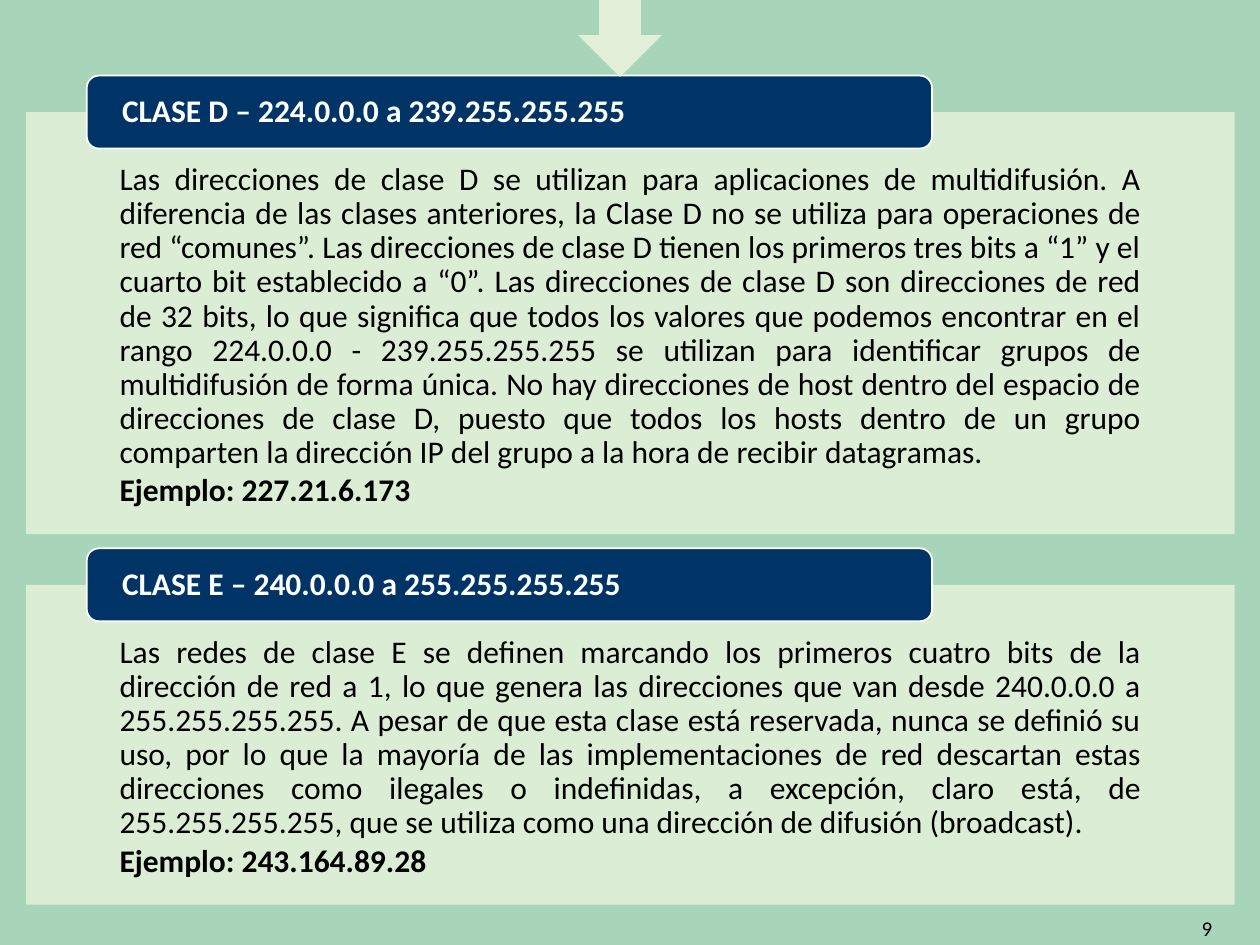
import dataclasses

import pptx
import pptx.dml.color
import pptx.enum.shapes
import pptx.enum.text
import pptx.oxml
import pptx.oxml.ns
import pptx.util

Cm = pptx.util.Cm
Pt = pptx.util.Pt
SHAPE = pptx.enum.shapes.MSO_SHAPE
ALIGN = pptx.enum.text.PP_ALIGN
ANCHOR = pptx.enum.text.MSO_ANCHOR


@dataclasses.dataclass(frozen=True)
class Theme:
    background: str = "A8D5BA"
    panel: str = "E2F0D9"
    panel_opacity: int = 90
    header: str = "003366"
    light: str = "FFFFFF"
    dark: str = "000000"
    font: str = "Calibri"
    text_size: int = 18
    number_size: int = 12
    line_spacing: float = 0.9


THEME = Theme()

PANEL_LEFT, PANEL_WIDTH = 0.53, 24.36
HEADER_LEFT, HEADER_WIDTH, HEADER_HEIGHT = 1.75, 17.04, 1.47
HEADER_RISE = HEADER_HEIGHT / 2

# Panel top and height in cm, heading, description, example
ADDRESS_CLASSES = [
    (
        2.26, 8.51,
        "CLASE D – 224.0.0.0 a 239.255.255.255",
        "Las direcciones de clase D se utilizan para aplicaciones de multidifusión. "
        "A diferencia de las clases anteriores, la Clase D no se utiliza para "
        "operaciones de red “comunes”. Las direcciones de clase D tienen los primeros "
        "tres bits a “1” y el cuarto bit establecido a “0”. Las direcciones de clase D "
        "son direcciones de red de 32 bits, lo que significa que todos los valores que "
        "podemos encontrar en el rango 224.0.0.0 - 239.255.255.255 se utilizan para "
        "identificar grupos de multidifusión de forma única. No hay direcciones de "
        "host dentro del espacio de direcciones de clase D, puesto que todos los hosts "
        "dentro de un grupo comparten la dirección IP del grupo a la hora de recibir "
        "datagramas.",
        "Ejemplo: 227.21.6.173",
    ),
    (
        11.79, 6.45,
        "CLASE E – 240.0.0.0 a 255.255.255.255",
        "Las redes de clase E se definen marcando los primeros cuatro bits de la "
        "dirección de red a 1, lo que genera las direcciones que van desde 240.0.0.0 a "
        "255.255.255.255. A pesar de que esta clase está reservada, nunca se definió "
        "su uso, por lo que la mayoría de las implementaciones de red descartan estas "
        "direcciones como ilegales o indefinidas, a excepción, claro está, de "
        "255.255.255.255, que se utiliza como una dirección de difusión (broadcast).",
        "Ejemplo: 243.164.89.28",
    ),
]


def rgb(value):
    return pptx.dml.color.RGBColor.from_string(value)


def add_filled_shape(slide, preset, left, top, width, height, color):
    shape = slide.shapes.add_shape(preset, Cm(left), Cm(top), Cm(width), Cm(height))
    shape.shadow.inherit = False
    shape.fill.solid()
    shape.fill.fore_color.rgb = rgb(color)
    shape.line.fill.background()
    return shape


def set_opacity(shape, percent):
    color = shape.fill._xPr.find(".//" + pptx.oxml.ns.qn("a:srgbClr"))
    alpha = pptx.oxml.parse_xml(
        f'<a:alpha {pptx.oxml.ns.nsdecls("a")} val="{percent * 1000}"/>'
    )
    color.append(alpha)


def set_frame(frame, anchor, left, top, right, bottom):
    """Set wrapping, vertical anchor and insets in cm."""
    frame.word_wrap = True
    frame.vertical_anchor = anchor
    frame.margin_left, frame.margin_top = Cm(left), Cm(top)
    frame.margin_right, frame.margin_bottom = Cm(right), Cm(bottom)


def write(paragraph, text, color, align, size=THEME.text_size, bold=False):
    paragraph.text = text
    paragraph.alignment = align
    font = paragraph.runs[0].font
    font.name, font.size, font.bold = THEME.font, Pt(size), bold
    font.color.rgb = rgb(color)


def add_panel(slide, top, height, description, example):
    panel = add_filled_shape(
        slide, SHAPE.RECTANGLE, PANEL_LEFT, top, PANEL_WIDTH, height, THEME.panel
    )
    set_opacity(panel, THEME.panel_opacity)
    frame = panel.text_frame
    set_frame(frame, ANCHOR.TOP, 1.88, 1.04, 1.88, 0.36)
    write(frame.paragraphs[0], description, THEME.dark, ALIGN.JUSTIFY)
    write(frame.add_paragraph(), example, THEME.dark, ALIGN.JUSTIFY, bold=True)
    for paragraph in frame.paragraphs:
        paragraph.line_spacing = THEME.line_spacing
        paragraph.space_after = Pt(0.15 * THEME.text_size)


def add_header(slide, top, heading):
    header = add_filled_shape(
        slide, SHAPE.ROUNDED_RECTANGLE,
        HEADER_LEFT, top, HEADER_WIDTH, HEADER_HEIGHT, THEME.header,
    )
    header.line.color.rgb = rgb(THEME.light)
    header.line.width = Pt(1)
    set_frame(header.text_frame, ANCHOR.MIDDLE, 0.64, 0, 0.64, 0)
    paragraph = header.text_frame.paragraphs[0]
    write(paragraph, heading, THEME.light, ALIGN.LEFT, bold=True)
    paragraph.line_spacing = THEME.line_spacing


def add_slide_number(slide, number):
    box = slide.shapes.add_textbox(Cm(18.97), Cm(18.21), Cm(5.72), Cm(1.02))
    set_frame(box.text_frame, ANCHOR.MIDDLE, 0.25, 0.13, 0.25, 0.13)
    write(box.text_frame.paragraphs[0], number, THEME.dark, ALIGN.RIGHT,
          size=THEME.number_size)


def main():
    presentation = pptx.Presentation()
    presentation.slide_width, presentation.slide_height = Cm(25.4), Cm(19.05)
    slide = presentation.slides.add_slide(presentation.slide_layouts[6])
    slide.background.fill.solid()
    slide.background.fill.fore_color.rgb = rgb(THEME.background)

    add_slide_number(slide, "9")
    for top, height, heading, description, example in ADDRESS_CLASSES:
        add_panel(slide, top, height, description, example)
        add_header(slide, top - HEADER_RISE, heading)
    add_filled_shape(slide, SHAPE.DOWN_ARROW, 11.66, -0.2, 1.68, 1.75, THEME.panel)

    presentation.save("out.pptx")


if __name__ == "__main__":
    main()
